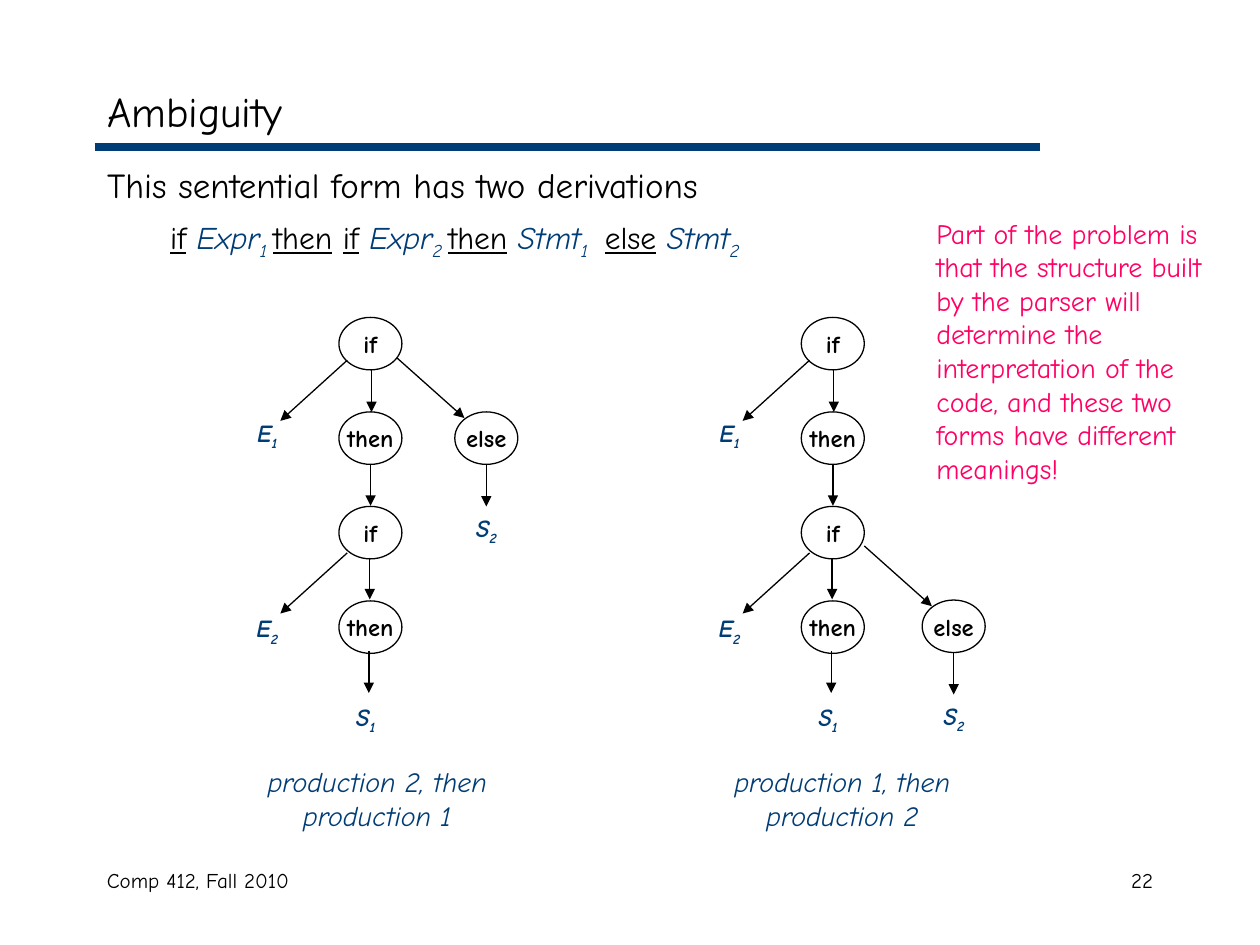
from dataclasses import dataclass, field

from lxml import etree
from pptx import Presentation
from pptx import util as u
from pptx.dml import color as c
from pptx.enum import shapes, text
from pptx.oxml import ns

BLACK = c.RGBColor(0x00, 0x00, 0x00)
WHITE = c.RGBColor(0xFF, 0xFF, 0xFF)
NAVY = c.RGBColor(0x00, 0x3C, 0x75)
PINK = c.RGBColor(0xFF, 0x00, 0x65)
FONT = "Comic Neue"
LEFT, CENTER, RIGHT = text.PP_ALIGN.LEFT, text.PP_ALIGN.CENTER, text.PP_ALIGN.RIGHT

KEYWORD = {"size": u.Pt(18), "underline": True}
PLAIN = {"size": u.Pt(18)}
SYMBOL = {"size": u.Pt(18), "italic": True}
NODE = {"size": u.Pt(14), "bold": True}
LEAF = {"size": u.Pt(14), "bold": True, "italic": True}
CAPTION = {"size": u.Pt(16), "italic": True}
NOTE = {"size": u.Pt(16)}
FOOTER = {"size": u.Pt(12)}
SUBSCRIPT = {"baseline": "-25000"}
WIDE = {"baseline": "-25000", "spc": "600"}

NODE_W, NODE_H = 36, 30
LEAF_W, LEAF_H = 42, 26.6
ROW = 54
SPINE_X, TOP_Y = 193.7, 181.4


@dataclass
class Run:
    text: str
    fmt: dict
    color: c.RGBColor = BLACK
    attrs: dict = field(default_factory=dict)


@dataclass
class Box:
    left: float
    top: float
    width: float
    height: float


@dataclass
class Tree:
    dx: float
    else_dx: float
    else_dy: float
    caption: str
    caption_left: float


TREES = [
    Tree(0, 0, 0, "production 2, then production 1", 134.6),
    Tree(264.2, 2.9, 107.5, "production 1, then production 2", 400.3),
]


def add_runs(p, runs: list[Run], align=LEFT) -> None:
    p.alignment = align
    p.space_before = u.Pt(0)
    for run in runs:
        r = p.add_run()
        r.text = run.text
        for name, value in {"name": FONT, **run.fmt}.items():
            setattr(r.font, name, value)
        r.font.color.rgb = run.color
        for name, value in run.attrs.items():
            r.font._element.set(name, value)


def place(sp, box: Box) -> None:
    for name in ("left", "top", "width", "height"):
        setattr(sp, name, u.Pt(getattr(box, name)))


def add_text(parent, box: Box, runs: list[Run], align=LEFT) -> None:
    sp = parent.add_textbox(0, 0, 0, 0)
    place(sp, box)
    sp.text_frame.word_wrap = True
    add_runs(sp.text_frame.paragraphs[0], runs, align)


def add_node(parent, x: float, y: float, label: str) -> None:
    sp = parent.add_shape(shapes.MSO_SHAPE.OVAL, 0, 0, 0, 0)
    place(sp, Box(x, y, NODE_W, NODE_H))
    sp.shadow.inherit = False
    sp.fill.background()
    sp.line.color.rgb = BLACK
    sp.line.width = u.Pt(0.75)
    tf = sp.text_frame
    tf.word_wrap = False
    tf.vertical_anchor = text.MSO_ANCHOR.MIDDLE
    add_runs(tf.paragraphs[0], [Run(label, NODE)], CENTER)


def add_leaf(parent, x: float, y: float, letter: str, index: str) -> None:
    runs = [Run(letter, LEAF, NAVY), Run(index, LEAF, NAVY, SUBSCRIPT)]
    add_text(parent, Box(x, y, LEAF_W, LEAF_H), runs, CENTER)


def add_line(parent, x1: float, y1: float, x2: float, y2: float,
             color=BLACK, width: float = 0.75, arrow: bool = True) -> None:
    points = [u.Pt(v) for v in (x1, y1, x2, y2)]
    cn = parent.add_connector(shapes.MSO_CONNECTOR.STRAIGHT, *points)
    cn.line.color.rgb = color
    cn.line.width = u.Pt(width)
    if arrow:
        ln = cn.line._get_or_add_ln()
        etree.SubElement(ln, ns.qn("a:tailEnd"), type="triangle")
    etree.SubElement(cn._element.spPr, ns.qn("a:effectLst"))


def add_tree(s, tree: Tree) -> None:
    g = s.shapes.add_group_shape().shapes
    x, y = SPINE_X + tree.dx, TOP_Y
    for i, label in enumerate(("if", "then", "if", "then")):
        add_node(g, x, y + i * ROW, label)
        stem_x, stem_y = x + 18.6 - 0.5 * i, y + 30.3 + 53.5 * i
        add_line(g, stem_x, stem_y, stem_x, stem_y + 23.8)
    add_leaf(g, x - 5.7, y + 216, "S", "1")

    for index, arrow_y, leaf_y in (("1", 24.5, 54), ("2", 134.6, 165.6)):
        add_line(g, x + 4.7, y + arrow_y, x - 33.5, y + arrow_y + 34.6)
        add_leaf(g, x - 62, y + leaf_y, "E", index)

    ex, ey = x + tree.else_dx, y + tree.else_dy
    add_line(g, ex + 33.1, ey + 23.1, ex + 71.7, ey + 57.5)
    add_node(g, ex + 66.2, ey + ROW, "else")
    add_line(g, ex + 84.2, ey + 84.3, ex + 84.2, ey + 108)
    add_leaf(g, ex + 63.3, ey + 2 * ROW, "S", "2")

    add_text(g, Box(tree.caption_left, 433.5, 162, 46),
             [Run(tree.caption, CAPTION, NAVY)], CENTER)


def symbol(name: str, index: str, attrs: dict = SUBSCRIPT) -> list[Run]:
    return [Run(name, SYMBOL, NAVY), Run(index, SYMBOL, NAVY, SUBSCRIPT),
            Run(" ", SYMBOL, NAVY, attrs)]


def keyword(word: str) -> list[Run]:
    return [Run(word, KEYWORD), Run(" ", PLAIN)]


def fill_body(sp) -> None:
    sentence = [
        *keyword("if"), *symbol("Expr", "1"), *keyword("then"),
        *keyword("if"), *symbol("Expr", "2"), *keyword("then"),
        *symbol("Stmt", "1", WIDE), *keyword("else"), *symbol("Stmt", "2")[:2],
    ]
    heading = [Run("This sentential form has two derivations", {"size": u.Pt(20)})]
    tf = sp.text_frame
    tf.auto_size = text.MSO_AUTO_SIZE.NONE
    lines = ((heading, 0, 27, -27, 0), (sentence, 1, 58.5, -22.5, 6.8))
    for i, (runs, level, margin, indent, before) in enumerate(lines):
        p = tf.add_paragraph() if i else tf.paragraphs[0]
        p.level = level
        pPr = p._p.get_or_add_pPr()
        pPr.set("marL", str(u.Pt(margin)))
        pPr.set("indent", str(u.Pt(indent)))
        etree.SubElement(pPr, ns.qn("a:buNone"))
        add_runs(p, runs)
        p.space_before = u.Pt(before)


def main() -> None:
    prs = Presentation()
    prs.slide_width, prs.slide_height = u.Pt(720), u.Pt(540)
    s = prs.slides.add_slide(prs.slide_layouts[1])
    s.background.fill.solid()
    s.background.fill.fore_color.rgb = WHITE

    title, body = s.placeholders
    place(title, Box(54, 42, 612, 42))
    title.text_frame.vertical_anchor = text.MSO_ANCHOR.MIDDLE
    add_runs(title.text_frame.paragraphs[0], [Run("Ambiguity", {"size": u.Pt(24)})])
    place(body, Box(54, 90, 612, 390))
    fill_body(body)

    add_line(s.shapes, 54, 84, 594, 84, NAVY, 4.5, arrow=False)
    add_text(s.shapes, Box(54, 492, 228, 36), [Run("Comp 412, Fall 2010", FOOTER)])
    add_text(s.shapes, Box(516, 492, 150, 36), [Run("22", FOOTER)], RIGHT)
    for tree in TREES:
        add_tree(s, tree)
    note = ("Part of the problem is that the structure built by the parser will "
            "determine the interpretation of the code, and these two forms have "
            "different meanings!")
    add_text(s.shapes, Box(528, 120, 180, 161), [Run(note, NOTE, PINK)])
    prs.save("out.pptx")


if __name__ == "__main__":
    main()
